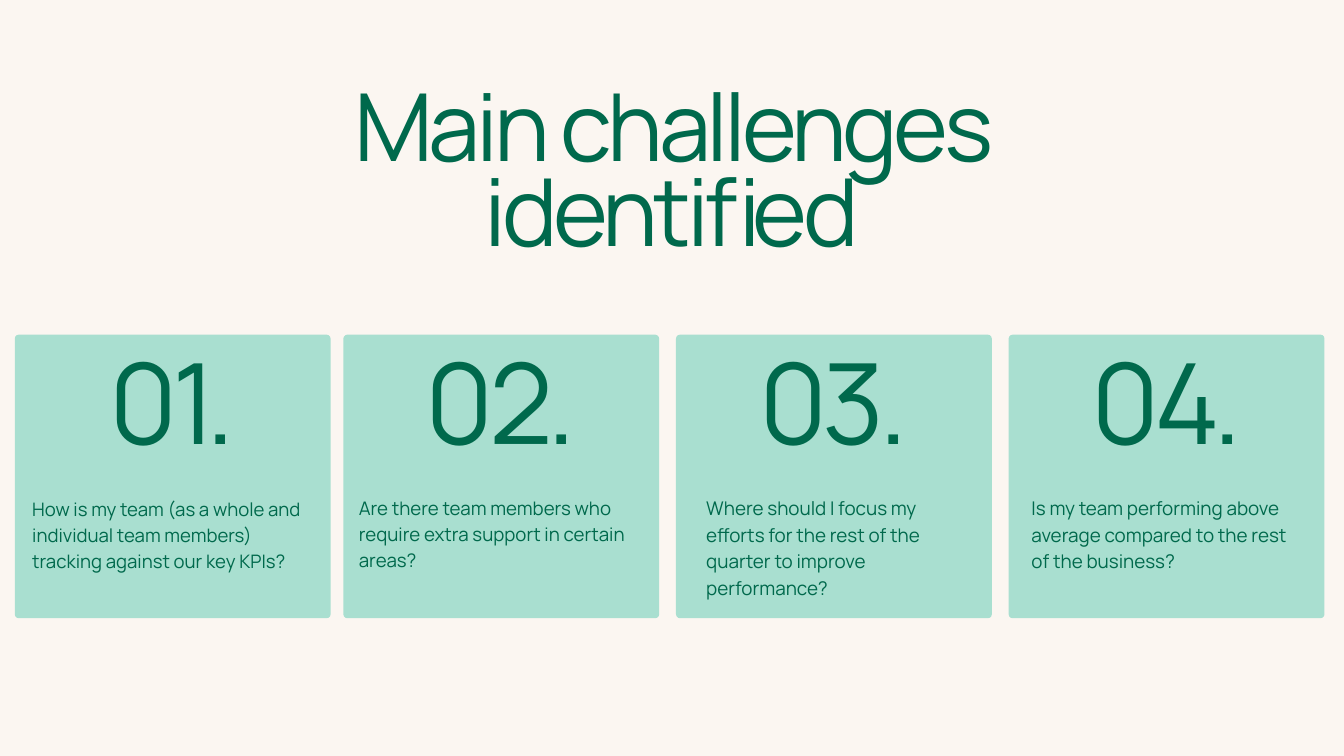
"""Build a slide with four numbered team challenges under a title."""
from pptx import Presentation
from pptx.dml.color import RGBColor
from pptx.enum.shapes import MSO_SHAPE
from pptx.enum.text import MSO_AUTO_SIZE, PP_ALIGN
from pptx.util import Inches, Pt

GREEN = RGBColor(0x00, 0x69, 0x4C)
MINT = RGBColor(0xA9, 0xDF, 0xD0)
CREAM = RGBColor(0xFB, 0xF6, 0xF1)
ROUNDED = MSO_SHAPE.ROUNDED_RECTANGLE
GROW = MSO_AUTO_SIZE.SHAPE_TO_FIT_TEXT
LEFT, CENTER = PP_ALIGN.LEFT, PP_ALIGN.CENTER

CARD_TOP, CARD_WIDTH, CARD_HEIGHT, RADIUS = 4.98, 4.7, 4.22, 0.06
CARDS = [
    (0.22, 0.48, 7.36, 4.17, 1.15, 19.9, 27.9,
     "How is my team (as a whole and individual team members) "
     "tracking against our key KPIs?"),
    (5.11, 5.34, 7.34, 4.25, 1.16, 20, 28,
     "Are there team members who require extra support in certain areas?"),
    (10.06, 10.51, 7.34, 4.03, 1.55, 20.2, 28.3,
     "Where should I focus my efforts for the rest of the quarter "
     "to improve performance?"),
    (15.01, 15.35, 7.34, 4.03, 1.16, 20.2, 28.3,
     "Is my team performing above average compared to the rest "
     "of the business?"),
]


def add_text(text, left, top, width, height, size, line, align=LEFT, track=0):
    box = slide.shapes.add_textbox(
        Inches(left), Inches(top), Inches(width), Inches(height))
    frame = box.text_frame
    frame.margin_left = frame.margin_right = 0
    frame.margin_top = frame.margin_bottom = 0
    frame.word_wrap = True
    frame.auto_size = GROW
    frame.text = text
    para = frame.paragraphs[0]
    para.alignment = align
    para.line_spacing = Pt(line)
    font = para.runs[0].font
    font.name = "Manrope"
    font.size = Pt(size)
    font.color.rgb = GREEN
    if track:
        para.runs[0]._r.get_or_add_rPr().set("spc", str(round(track * 100)))


prs = Presentation()
prs.slide_width = Inches(20)
prs.slide_height = Inches(11.25)
slide = prs.slides.add_slide(prs.slide_layouts[6])
slide.background.fill.solid()
slide.background.fill.fore_color.rgb = CREAM

add_text("Main challenges identified", 2.42, 1.43, 15.15, 2.62,
         100.4, 90.4, CENTER, -4.6)

for number, card in enumerate(CARDS, 1):
    left, text_left, text_top, width, height, size, line, question = card
    panel = slide.shapes.add_shape(
        ROUNDED, Inches(left), Inches(CARD_TOP),
        Inches(CARD_WIDTH), Inches(CARD_HEIGHT))
    panel.adjustments[0] = RADIUS / CARD_HEIGHT
    panel.shadow.inherit = False
    panel.fill.solid()
    panel.fill.fore_color.rgb = MINT
    panel.line.fill.background()
    add_text(f"{number:02}.", left + 1.02, 5.45, 2.65, 1.64,
             120, 108, CENTER, -5.5)
    add_text(question, text_left, text_top, width, height, size, line)

prs.save("out.pptx")
